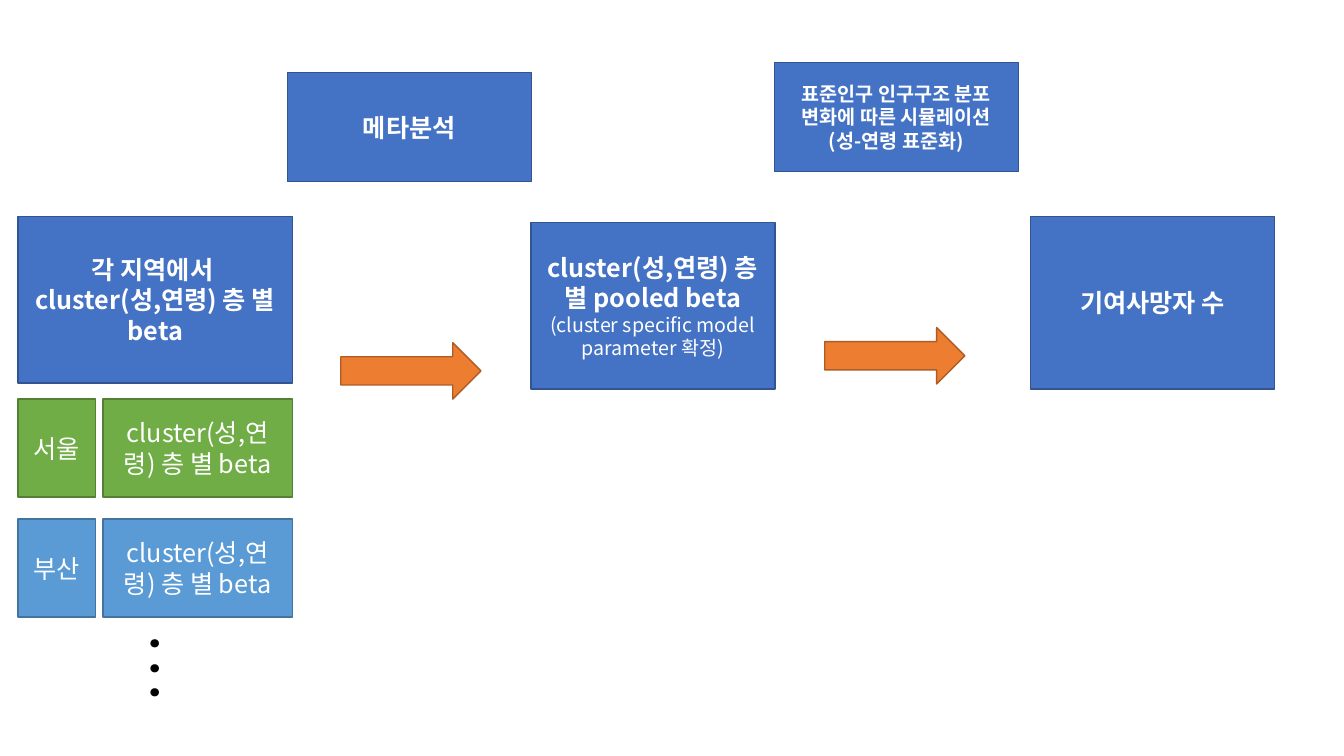
"""Build the slide that leads from regional betas to attributable deaths."""
from lxml import etree
from pptx import Presentation
from pptx import util as u
from pptx.dml.color import RGBColor
from pptx.enum import shapes, text
from pptx.oxml.ns import qn

FACE = "Noto Sans CJK KR"
BLUE, GREEN, SKY, ORANGE = (("4472C4", "325491"), ("70AD47", "538035"),
                            ("5B9BD5", "43739E"), ("ED7D31", "AF5C24"))
RECT, ARROW = shapes.MSO_SHAPE.RECTANGLE, shapes.MSO_SHAPE.RIGHT_ARROW
LEFT, WIDE, STEP, SIDE, GAP = 0.18, 2.42, 2.415, 0.77, 0.07
LAST, FULL = 10.22, 2.72

deck = Presentation()
deck.slide_width, deck.slide_height = u.Inches(13.33), u.Inches(7.5)
slide = deck.slides.add_slide(deck.slide_layouts[6])


def write(frame, lines, hue, align):
    """Fill a text frame with (words, size, bold) lines."""
    frame.word_wrap = True
    for i, (words, size, bold) in enumerate(lines):
        para = frame.paragraphs[0] if i == 0 else frame.add_paragraph()
        para.alignment = align
        run = para.add_run()
        run.text = words
        for key, val in {"size": u.Pt(size), "bold": bold, "name": FACE}.items():
            setattr(run.font, key, val)
        run.font.color.rgb = RGBColor.from_string(hue)
        etree.SubElement(run.font._element, qn("a:ea"), typeface=FACE)


def draw(kind, box, tint, lines=()):
    """Add a filled, outlined shape with centred white lines."""
    item = slide.shapes.add_shape(kind, *map(u.Inches, box))
    item.shadow.inherit = False
    item.fill.solid()
    item.fill.fore_color.rgb = RGBColor.from_string(tint[0])
    item.line.color.rgb = RGBColor.from_string(tint[1])
    item.line.width = u.Pt(1)
    item.text_frame.vertical_anchor = text.MSO_ANCHOR.MIDDLE
    write(item.text_frame, lines, "FFFFFF", text.PP_ALIGN.CENTER)


beta = "cluster(성,연령) 층 별 beta"
mid = LEFT + FULL - 0.05
steps = [
    ((LEFT, 2.15, FULL, 1.65), [("각 지역에서 ", 18, True), (beta, 18, True)]),
    ((mid, 0.72, WIDE, 1.08), [("메타분석", 18, True)]),
    ((mid + STEP, 2.21, WIDE, 1.65),
     [("cluster(성,연령) 층 별 pooled beta", 18, True),
      ("(cluster specific model parameter 확정)", 14, False)]),
    ((LAST, 2.15, WIDE, 1.71), [("기여사망자 수", 18, True)]),
    ((mid + 2 * STEP, 0.62, WIDE, 1.08),
     [("표준인구 인구구조 분포 변화에 따른 시뮬레이션", 14, True),
      ("(성-연령 표준화)", 14, True)]),
]
for box, lines in steps:
    draw(RECT, box, BLUE, lines)

for row, (town, tint) in enumerate([("서울", GREEN), ("부산", SKY)]):
    top = 3.96 + 1.19 * row
    left = LEFT + SIDE + GAP
    draw(RECT, (left, top, LEFT + FULL - left, 0.97), tint, [(beta, 18, False)])
    draw(RECT, (LEFT, top, SIDE, 0.97), tint, [(town, 18, False)])

for left, top in [(3.38, 3.4), (8.18, 3.25)]:
    draw(ARROW, (left, top, 1.39, 0.56), ORANGE)

dots = slide.shapes.add_textbox(*map(u.Inches, (0.95, 6.62, 1.45, 0.64)))
dots.rotation = 90
write(dots.text_frame, [(". . . ", 32, True)], "000000", text.PP_ALIGN.LEFT)

deck.save("out.pptx")
